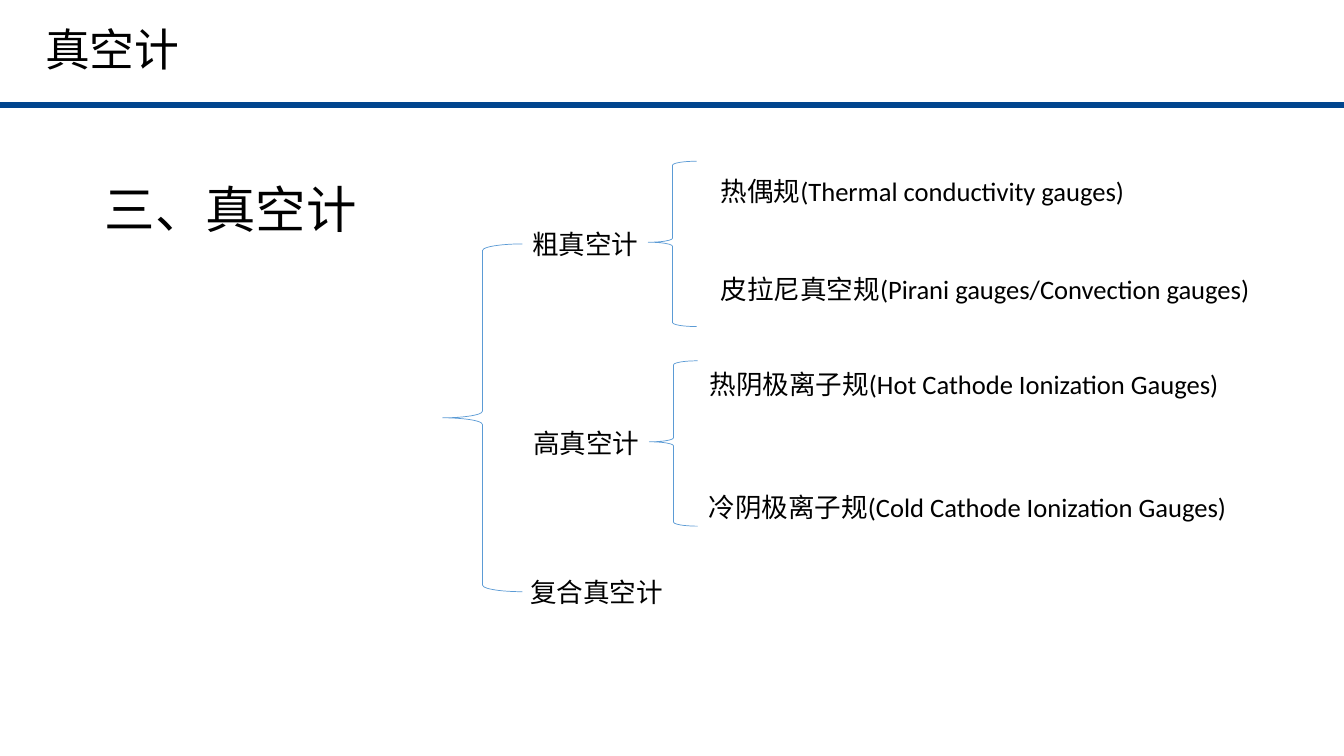
from lxml.etree import SubElement
from pptx import Presentation
from pptx.dml.color import RGBColor
from pptx.enum.shapes import MSO_CONNECTOR, MSO_SHAPE
from pptx.enum.text import MSO_AUTO_SIZE
from pptx.oxml.ns import qn
from pptx.util import Inches, Pt

COLORS = {"text": "000000", "rule": "01458E", "brace": "5B9BD5"}
CJK_FONT, LATIN_FONT = "Noto Sans CJK SC", "Calibri"
LABEL_SIZE, LABEL_HEIGHT, CLASS_WIDTH = 19, 0.42, 1.74

# Headings: text, left, top, width, height, size
HEADINGS = [
    ("真空计", 0.35, 0.17, 6.7, 0.64, 32),
    ("三、真空计", 0.94, 1.72, 3.14, 0.71, 36),
]
# Gauge classes: name, left, top, gauges in the class (text, left, top, width)
GAUGE_CLASSES = [
    ("粗真空计", 5.18, 2.21, [
        ("热偶规(Thermal conductivity gauges)", 7.05, 1.69, 5.35),
        ("皮拉尼真空规(Pirani gauges/Convection gauges)", 7.05, 2.66, 5.45),
    ]),
    ("高真空计", 5.19, 4.19, [
        ("热阴极离子规(Hot Cathode Ionization Gauges)", 6.94, 3.6, 5.69),
        ("冷阴极离子规(Cold Cathode Ionization Gauges)", 6.93, 4.82, 5.71),
    ]),
    ("复合真空计", 5.16, 5.66, []),
]
MAIN_BRACE = (4.39, 2.42, 0.79, 3.45)
# Class brace: offset from the class label, then size
BRACE_DX, BRACE_DY, BRACE_WIDTH, BRACE_HEIGHT = 1.25, -0.61, 0.48, 1.64

presentation = Presentation()
presentation.slide_width, presentation.slide_height = Inches(13.33), Inches(7.5)
slide = presentation.slides.add_slide(presentation.slide_layouts[6])


def add_text(text, left, top, width, height, size, font_name=CJK_FONT):
    box = slide.shapes.add_textbox(*map(Inches, (left, top, width, height)))
    frame = box.text_frame
    frame.word_wrap = True
    frame.auto_size = MSO_AUTO_SIZE.SHAPE_TO_FIT_TEXT
    run = frame.paragraphs[0].add_run()
    run.text = text
    run.font.size = Pt(size)
    run.font.name = font_name
    run.font.color.rgb = RGBColor.from_string(COLORS["text"])
    SubElement(run.font._element, qn("a:ea"), typeface=CJK_FONT)


def add_brace(left, top, width, height, point=0.5):
    brace = slide.shapes.add_shape(
        MSO_SHAPE.LEFT_BRACE, *map(Inches, (left, top, width, height)))
    brace.adjustments[0], brace.adjustments[1] = 0.083, point
    brace.shadow.inherit = False
    brace.fill.background()
    brace.line.color.rgb = RGBColor.from_string(COLORS["brace"])
    brace.line.width = Pt(0.5)


# Header rule
rule = slide.shapes.add_connector(
    MSO_CONNECTOR.STRAIGHT, 0, Inches(1.04), Inches(13.36), Inches(1.04))
rule.line.color.rgb = RGBColor.from_string(COLORS["rule"])
rule.line.width = Pt(4.5)
SubElement(rule._element.spPr, qn("a:effectLst"))

# Headings
for heading in HEADINGS:
    add_text(*heading)

# Classification tree
add_brace(*MAIN_BRACE)
for name, left, top, gauges in GAUGE_CLASSES:
    add_text(name, left, top, CLASS_WIDTH, LABEL_HEIGHT, LABEL_SIZE)
    if gauges:
        add_brace(left + BRACE_DX, top + BRACE_DY, BRACE_WIDTH, BRACE_HEIGHT, 0.49)
    for gauge, gauge_left, gauge_top, gauge_width in gauges:
        add_text(gauge, gauge_left, gauge_top, gauge_width, LABEL_HEIGHT,
                 LABEL_SIZE, LATIN_FONT)

presentation.save("out.pptx")
